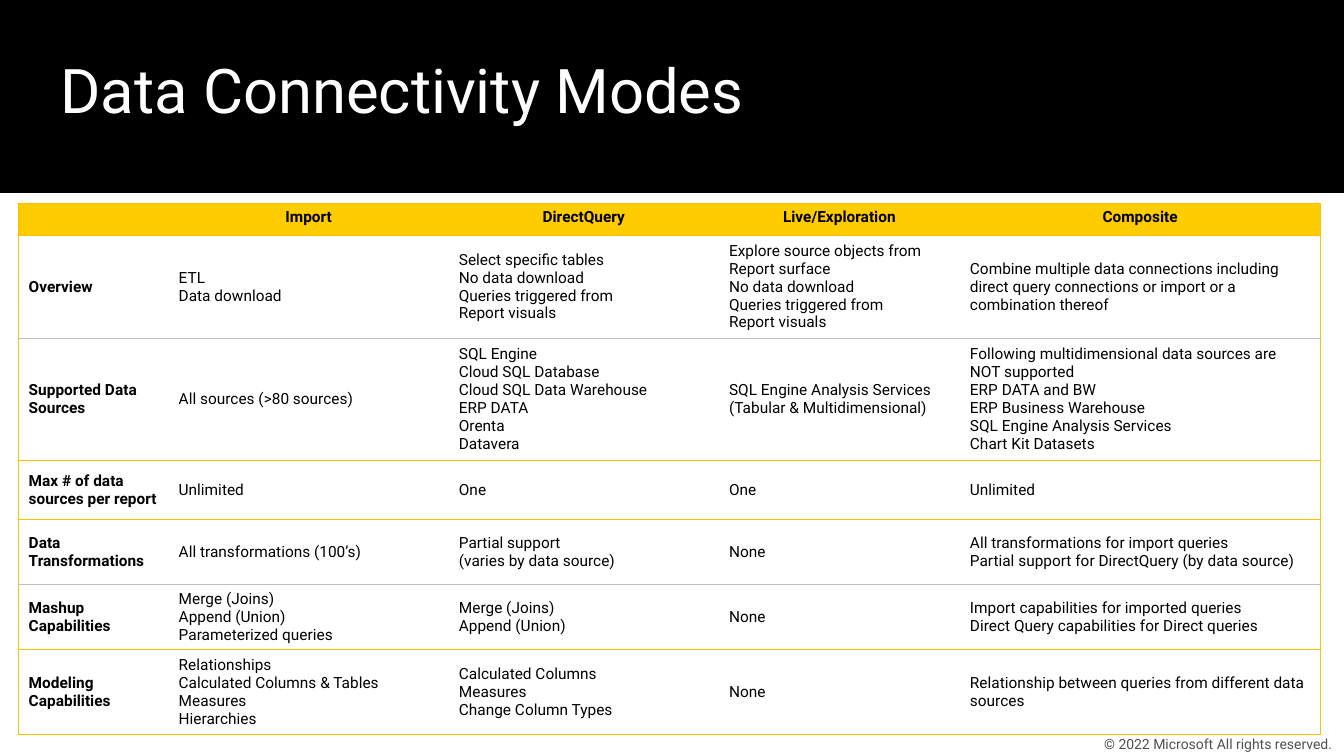
import lxml.etree
import pptx
import pptx.dml.color
import pptx.enum.shapes
import pptx.enum.text
import pptx.oxml.ns
import pptx.util

Cm = pptx.util.Cm
Pt = pptx.util.Pt
ALIGN = pptx.enum.text.PP_ALIGN
ANCHOR = pptx.enum.text.MSO_ANCHOR
GOLD, GREY = "FFC000", "BFBFBF"

WIDTHS = [3.78, 7.06, 6.81, 6.07, 9.09]
HEIGHTS = [0.81, 2.59, 3.07, 1.5, 1.63, 1.63, 2.11]
# Colour of each horizontal rule, from the top of the table to its foot
RULES = [GOLD, GOLD, GREY, GOLD, GOLD, GREY, GOLD, GOLD]

# "\n" starts a paragraph, "\v" breaks a line inside one
MODES = [
    ["", "Import", "DirectQuery", "Live/Exploration", "Composite"],
    ["Overview",
     "ETL\nData download",
     "Select specific tables\nNo data download\nQueries triggered from\vReport visuals",
     "Explore source objects from Report surface\nNo data download\n"
     "Queries triggered from\vReport visuals",
     "Combine multiple data connections including direct query connections "
     "or import or a combination thereof"],
    ["Supported Data Sources",
     "All sources (>80 sources)",
     "SQL Engine\nCloud SQL Database\nCloud SQL Data Warehouse\nERP DATA\nOrenta\nDatavera",
     "SQL Engine Analysis Services (Tabular & Multidimensional)",
     "Following multidimensional data sources are NOT supported\nERP DATA and BW\n"
     "ERP Business Warehouse\nSQL Engine Analysis Services\nChart Kit Datasets"],
    ["Max # of data sources per report", "Unlimited", "One", "One", "Unlimited"],
    ["Data Transformations",
     "All transformations (100’s)",
     "Partial support\v(varies by data source)",
     "None",
     "All transformations for import queries\n"
     "Partial support for DirectQuery (by data source)"],
    ["Mashup Capabilities",
     "Merge (Joins)\nAppend (Union)\nParameterized queries",
     "Merge (Joins)\nAppend (Union)",
     "None",
     "Import capabilities for imported queries\n"
     "Direct Query capabilities for Direct queries"],
    ["Modeling Capabilities",
     "Relationships\nCalculated Columns & Tables\nMeasures\nHierarchies",
     "Calculated Columns\nMeasures\nChange Column Types",
     "None",
     "Relationship between queries from different data sources"],
]


def paint(text):
    return pptx.dml.color.RGBColor.from_string(text)


class Page:
    """Holds the slide and its type style."""

    face = "Roboto"

    def __init__(self, deck):
        self.slide = deck.slides.add_slide(deck.slide_layouts[6])

    def style(self, frame, size, color, bold=False, align=ALIGN.LEFT):
        for par in frame.paragraphs:
            par.alignment = align
            font = par.font
            font.name, font.size, font.bold = self.face, Pt(size), bold
            font.color.rgb = paint(color)
            if not par.runs:
                lxml.etree.SubElement(par._p, pptx.oxml.ns.qn("a:endParaRPr"),
                                      sz=str(size * 100))

    def band(self, left, top, width, height, color):
        shape = self.slide.shapes.add_shape(
            pptx.enum.shapes.MSO_SHAPE.RECTANGLE,
            Cm(left), Cm(top), Cm(width), Cm(height))
        shape.shadow.inherit = False
        shape.fill.solid()
        shape.fill.fore_color.rgb = paint(color)
        shape.line.fill.background()

    def text(self, box, words, size, color, pads, anchor, align=ALIGN.LEFT):
        """Add a text box; pads are left, top, right, bottom."""
        frame = self.slide.shapes.add_textbox(*map(Cm, box)).text_frame
        frame.word_wrap = True
        frame.vertical_anchor = anchor
        (frame.margin_left, frame.margin_top,
         frame.margin_right, frame.margin_bottom) = map(Cm, pads)
        frame.text = words
        self.style(frame, size, color, align=align)

    def edge(self, cell, side, color):
        """Draw one cell border, or clear it when color is None."""
        qn = pptx.oxml.ns.qn
        line = lxml.etree.SubElement(cell._tc.get_or_add_tcPr(), qn("a:ln" + side),
                                     w=str(int(Pt(0.5))))
        if color:
            fill = lxml.etree.SubElement(line, qn("a:solidFill"))
            lxml.etree.SubElement(fill, qn("a:srgbClr"), val=color)
        else:
            lxml.etree.SubElement(line, qn("a:noFill"))

    def grid(self, left, top, rows):
        table = self.slide.shapes.add_table(
            len(HEIGHTS), len(WIDTHS), Cm(left), Cm(top),
            Cm(sum(WIDTHS)), Cm(sum(HEIGHTS))).table
        table.first_row = table.horz_banding = False
        for col, width in zip(table.columns, WIDTHS):
            col.width = Cm(width)
        for row, height in zip(table.rows, HEIGHTS):
            row.height = Cm(height)
        last = len(WIDTHS) - 1
        for r, row in enumerate(rows):
            for c, words in enumerate(row):
                cell = table.cell(r, c)
                self.edge(cell, "L", GOLD if c == 0 else None)
                self.edge(cell, "R", GOLD if c == last else None)
                self.edge(cell, "T", RULES[r])
                self.edge(cell, "B", RULES[r + 1])
                self.fill(cell, words, r == 0, c == 0)

    def fill(self, cell, words, head, label):
        cell.text = words
        if head:
            cell.fill.solid()
            cell.fill.fore_color.rgb = paint("FFCC00")
        else:
            cell.fill.background()
        cell.vertical_anchor = ANCHOR.TOP if head else ANCHOR.MIDDLE
        self.style(cell.text_frame, 11, "000000", head or label,
                   ALIGN.CENTER if head else ALIGN.LEFT)


def main():
    deck = pptx.Presentation()
    deck.slide_width, deck.slide_height = Cm(33.87), Cm(19.05)
    page = Page(deck)
    page.band(0, 0, 33.87, 4.86, "000000")
    page.text((1.27, 1.07, 31.22, 1.93), "Data Connectivity Modes", 44, "FFFFFF",
              (0.25, 0.25, 0.25, 0), ANCHOR.TOP)
    page.grid(0.47, 5.12, MODES)
    page.text((26.87, 18.44, 7.9, 0.61), "© 2022 Microsoft All rights reserved.",
              10, "505050", (0, 0, 0.25, 0), ANCHOR.MIDDLE, ALIGN.CENTER)
    deck.save("out.pptx")


if __name__ == "__main__":
    main()
